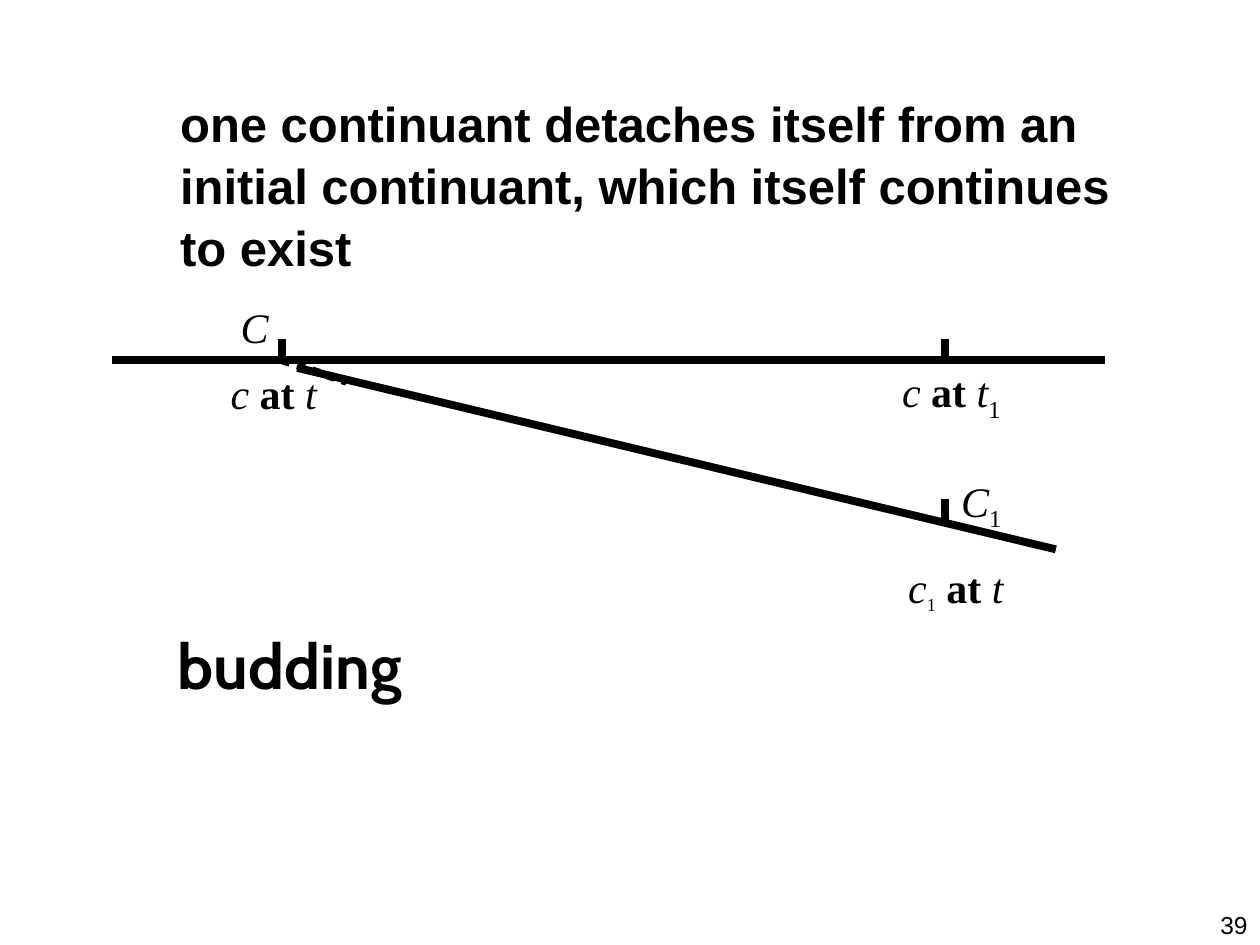
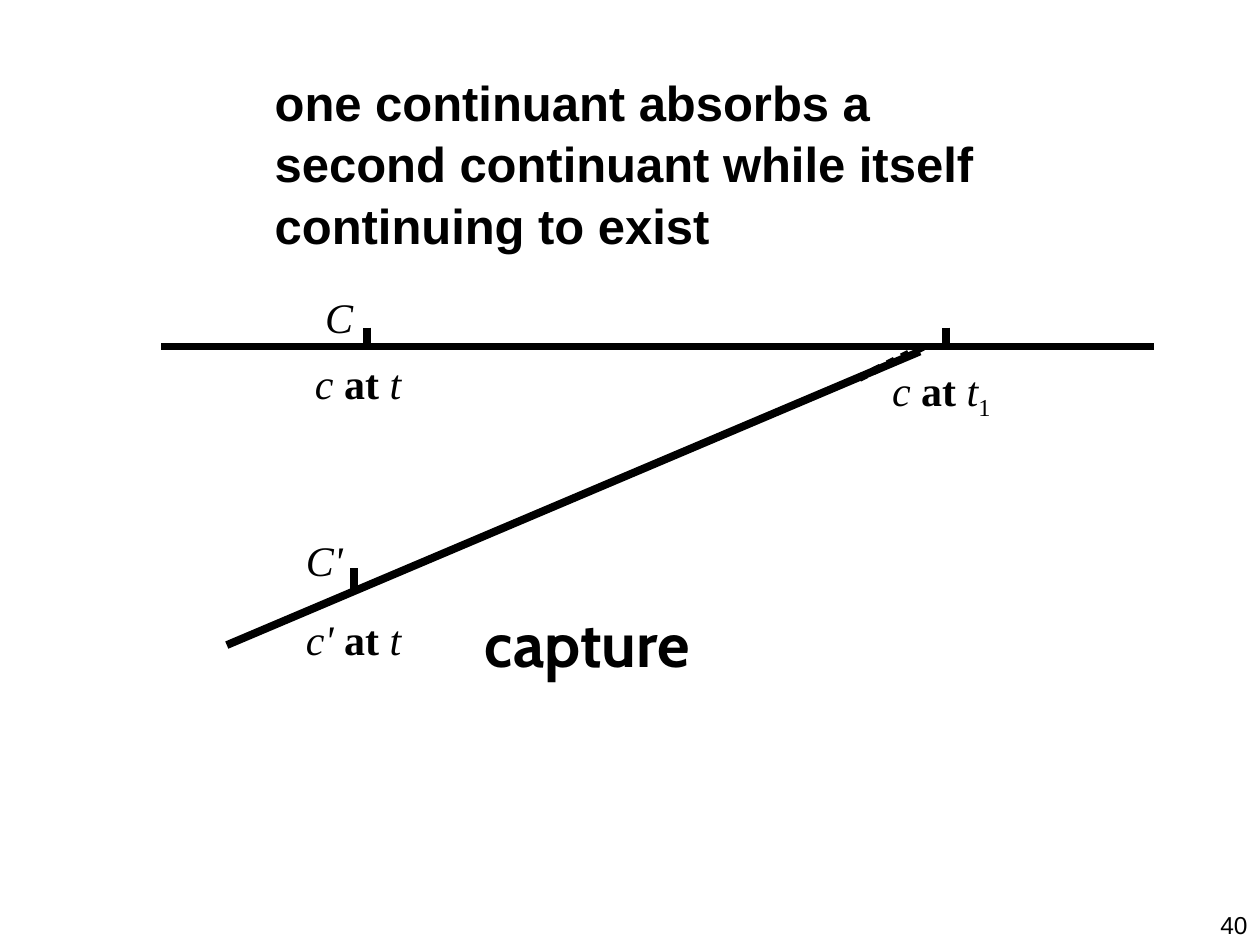
from pptx import Presentation
from pptx import util as u
from pptx.dml.color import RGBColor
from pptx.enum import dml, shapes, text
from pptx.oxml.ns import qn
from lxml import etree

COLOURS = {"ink": "000000", "paper": "FFFFFF"}
SANS, SERIF, DISPLAY = "Arial", "Times New Roman", "Cabin"
LINE_WIDTH = 4.5
TICK = 0.17
TIMELINE = 7.88
FIRST_NUMBER = 39
LOOSE = 1.05
SMALL_INSETS, INSETS = (0.08, 0.04), (0.1, 0.05)

# Runs shared by the labels: (text, style, size)
AT = ("at ", "bold", 24)
T = ("t", "italic", 24)
SUB_1 = ("1", "sub", 24)
C_AT_T = [("c ", "italic", 24), AT, T]


def style_font(font, name, size, bold=False, italic=False):
    font.name, font.size = name, u.Pt(size)
    font.bold, font.italic = bold, italic
    font.color.rgb = RGBColor.from_string(COLOURS["ink"])


def prepare_frame(frame, insets=INSETS):
    frame.word_wrap = True
    frame.auto_size = text.MSO_AUTO_SIZE.NONE
    frame.vertical_anchor = text.MSO_ANCHOR.TOP
    frame.margin_left = frame.margin_right = u.Inches(insets[0])
    frame.margin_top = frame.margin_bottom = u.Inches(insets[1])


def add_box(page, place, insets=INSETS):
    box = page.shapes.add_textbox(*map(u.Inches, place))
    prepare_frame(box.text_frame, insets)
    return box.text_frame


def add_plain(page, place, words, name, size, bold=False, align=text.PP_ALIGN.LEFT):
    para = add_box(page, place).paragraphs[0]
    para.text, para.alignment = words, align
    style_font(para.font, name, size, bold)


def set_statement(page, place, words):
    """The defining sentence, in the title placeholder."""
    title = page.shapes.title
    title.left, title.top, title.width, title.height = map(u.Inches, place)
    prepare_frame(title.text_frame)
    para = title.text_frame.paragraphs[0]
    para.text, para.alignment = words, text.PP_ALIGN.LEFT
    para.line_spacing = LOOSE
    style_font(para.font, SANS, 28, bold=True)


def add_label(page, place, lines, insets, gap=0, indent=0):
    """Serif label; each line is a list of runs, the first one indented."""
    frame = add_box(page, place, insets)
    for index, runs in enumerate(lines):
        para = frame.add_paragraph() if index else frame.paragraphs[0]
        para.line_spacing = LOOSE
        if index < len(lines) - 1:
            para.space_after = u.Pt(gap)
        if index == 0 and indent:
            para._p.get_or_add_pPr().set("marL", str(u.Inches(indent)))
        for words, style, size in runs:
            span = para.add_run()
            span.text = words
            style_font(span.font, SERIF, size, style == "bold", style == "italic")
            if style == "sub":
                span._r.get_or_add_rPr().set("baseline", "-25000")


def add_line(page, start, end, dotted=False):
    line = page.shapes.add_connector(
        shapes.MSO_CONNECTOR.STRAIGHT, *map(u.Inches, (*start, *end)))
    line.line.width = u.Pt(LINE_WIDTH)
    line.line.color.rgb = RGBColor.from_string(COLOURS["ink"])
    if dotted:
        line.line.dash_style = dml.MSO_LINE.ROUND_DOT
    etree.SubElement(line._element.spPr, qn("a:effectLst"))


def draw_histories(page, origin, branch, joint, ticks, labels):
    """Main timeline, its branch, time marks and labels, relative to origin."""
    left, top = origin

    def shift(point):
        return left + point[0], top + point[1]

    add_line(page, origin, shift((TIMELINE, 0)))
    add_line(page, *map(shift, branch))
    add_line(page, *map(shift, joint), dotted=True)
    for x, foot in ticks:
        add_line(page, shift((x, foot - TICK)), shift((x, foot)))
    for corner, size, *rest in labels:
        add_label(page, (*shift(corner), *size), *rest)


def start_label(corner):
    return corner, (1.06, 1.12), [[("C", "italic", 24)], C_AT_T], SMALL_INSETS, 8, 0.08


def end_label(corner):
    return corner, (1.2, 0.51), [C_AT_T + [SUB_1]], SMALL_INSETS


def branch_label(corner, lines, indent=0):
    return corner, (1.67, 1.15), lines, INSETS, 15, indent


SLIDES = [
    dict(
        statement=((1.33, 0.67, 8, 1.03),
                   "one continuant detaches itself from an initial continuant, "
                   "which itself continues to exist"),
        term=((1.31, 4.92), "budding"),
        histories=dict(
            origin=(0.89, 2.86),
            branch=((1.47, 0.06), (7.49, 1.5)),
            joint=((1.35, 0), (1.86, 0.17)),
            ticks=[(1.35, 0), (6.61, 0), (6.61, 1.27)],
            labels=[
                start_label((0.86, -0.53)),
                end_label((6.19, -0.02)),
                branch_label((6.22, 0.84), [
                    [("C", "italic", 24), SUB_1],
                    [("c", "italic", 24), ("1", "sub", 18), (" ", "italic", 24), AT, T],
                ], indent=0.42),
            ])),
    dict(
        statement=((2.08, 0.5, 6.08, 1.03),
                   "one continuant absorbs a second continuant while itself "
                   "continuing to exist"),
        term=((3.75, 4.75), "capture"),
        histories=dict(
            origin=(1.28, 2.75),
            branch=((0.52, 2.37), (6.02, 0.04)),
            joint=((5.54, 0.25), (6.05, 0)),
            ticks=[(1.63, 0.02), (6.23, 0.02), (1.53, 1.93)],
            labels=[
                start_label((1.14, -0.5)),
                end_label((5.72, 0.08)),
                branch_label((1.05, 1.42), [
                    [("C'", "italic", 24)],
                    [("c' ", "italic", 24), AT, T],
                ]),
            ])),
]


def build_slide(deck, number, content):
    page = deck.slides.add_slide(deck.slide_layouts[5])
    page.background.fill.solid()
    page.background.fill.fore_color.rgb = RGBColor.from_string(COLOURS["paper"])
    set_statement(page, *content["statement"])
    draw_histories(page, **content["histories"])
    # Name of the relation
    corner, term = content["term"]
    add_plain(page, (*corner, 3.75, 0.7), term, DISPLAY, 36, bold=True)
    # Slide number
    add_plain(page, (8.25, 7.17, 1.75, 0.33), str(number), SANS, 14,
              align=text.PP_ALIGN.RIGHT)


def main():
    deck = Presentation()
    deck.slide_width, deck.slide_height = u.Inches(10), u.Inches(7.5)
    for number, content in enumerate(SLIDES, FIRST_NUMBER):
        build_slide(deck, number, content)
    deck.save("out.pptx")


if __name__ == "__main__":
    main()
